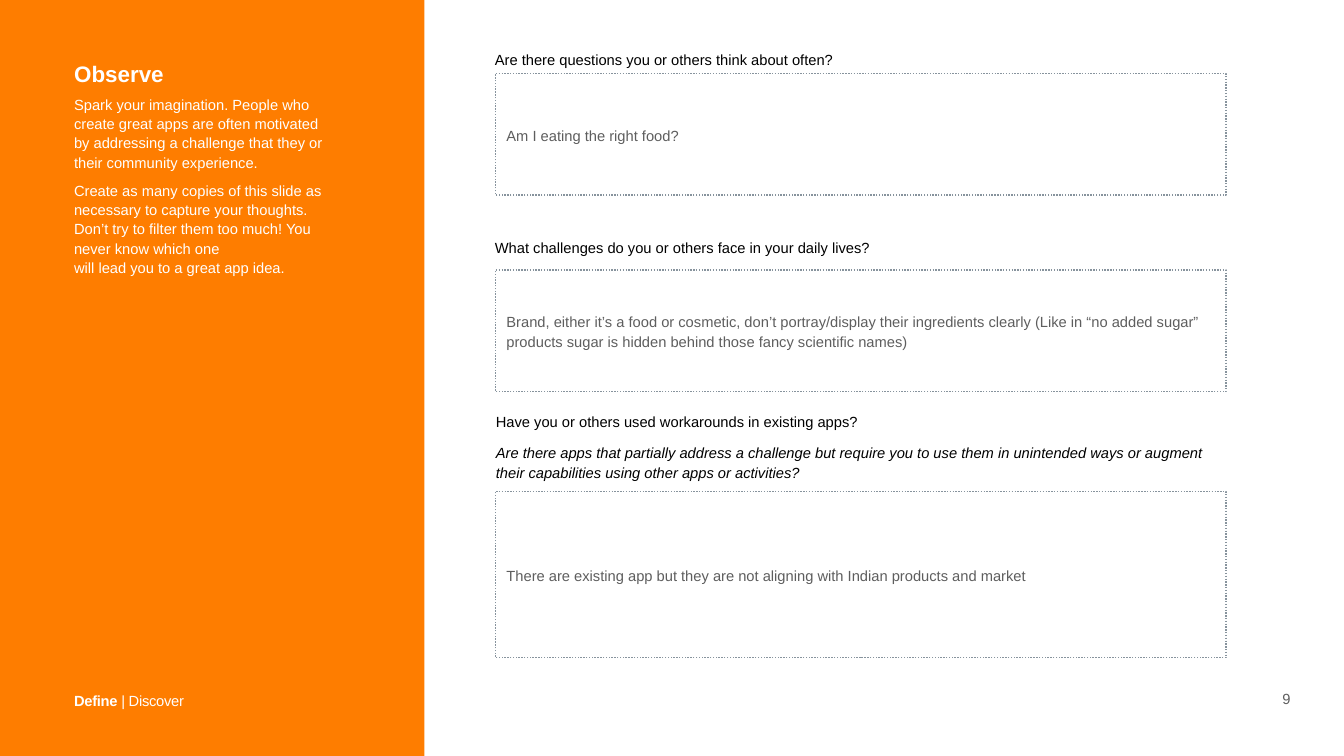
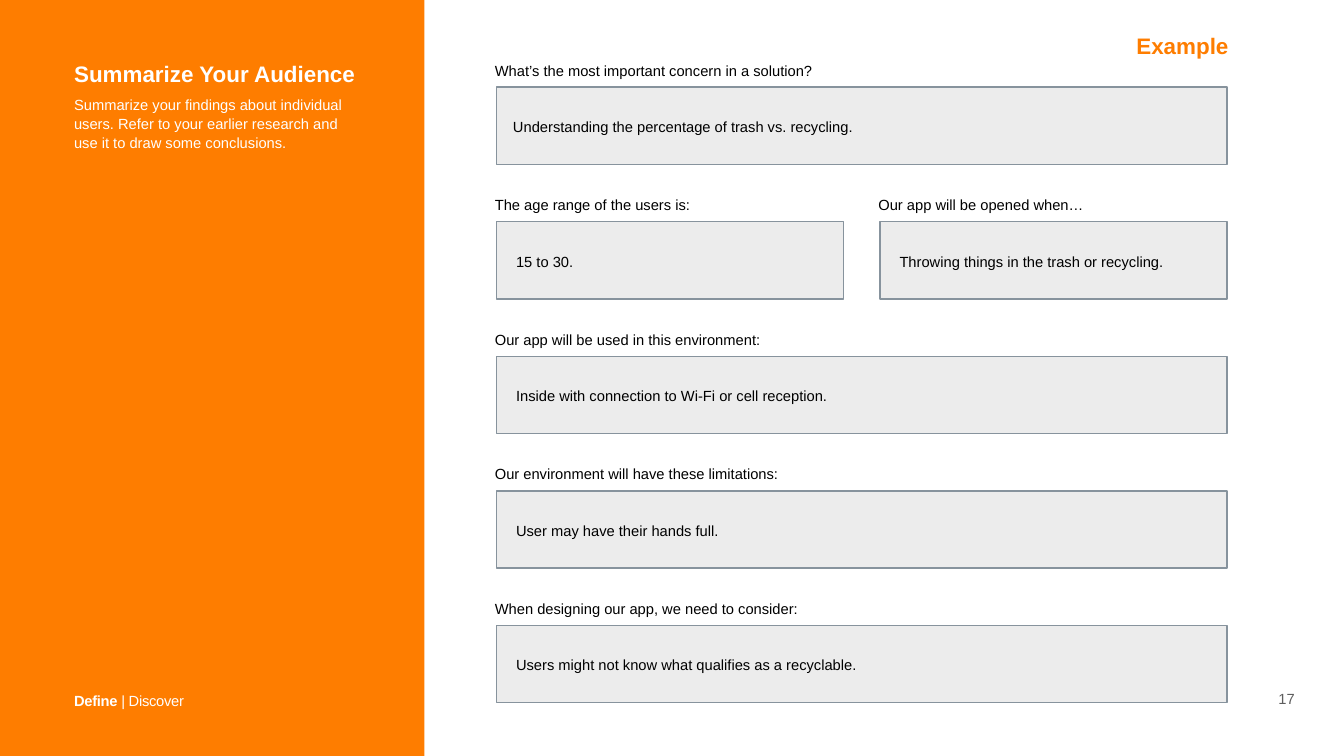
from lxml import etree
from pptx import Presentation
from pptx.dml.color import RGBColor
from pptx.enum import dml, shapes, text
from pptx.oxml import ns
from pptx.util import Inches, Pt

ORANGE = RGBColor(0xFE, 0x7D, 0x00)
WHITE = RGBColor(0xFF, 0xFF, 0xFF)
BLACK = RGBColor(0x00, 0x00, 0x00)
GRAY = RGBColor(0x5E, 0x5E, 0x5E)
PALE_GRAY = RGBColor(0xD5, 0xD5, 0xD5)
BORDER = RGBColor(0x87, 0x93, 0x9D)

FONT = "Arial"
HEADING_SIZE, BODY_SIZE = 32, 21
SIDE_LEFT = 1.39
QUESTION_LEFT = 9.76
ANSWER_WIDTH, HALF_WIDTH = 14.5, 6.89
ROW_TOP, ROW_STEP = 1.15, 2.67
ANSWER_OFFSET, ANSWER_HEIGHT = 0.58, 1.53


def write_text(frame, paragraphs, size=BODY_SIZE, color=BLACK, bold=False, italics=(),
               align=text.PP_ALIGN.LEFT, anchor=text.MSO_ANCHOR.MIDDLE,
               inset=0.08, line=1.1, gap=0, wrap=True):
    """Fill a text frame with evenly formatted paragraphs."""
    frame.word_wrap = wrap
    frame.auto_size = text.MSO_AUTO_SIZE.NONE
    frame.vertical_anchor = anchor
    frame.margin_left = frame.margin_right = Inches(inset)
    frame.margin_top = frame.margin_bottom = Inches(inset)
    for index, words in enumerate(paragraphs):
        paragraph = frame.add_paragraph() if index else frame.paragraphs[0]
        paragraph.text = words
        paragraph.alignment = align
        paragraph.line_spacing = line
        paragraph.space_before = Pt(gap if index else 0)
        for run in paragraph.runs:
            run.font.name = FONT
            run.font.size = Pt(size)
            run.font.color.rgb = color
            run.font.bold = bold
            run.font.italic = index in italics


def add_text(slide, left, top, width, height, paragraphs, **text_format):
    """Add a text box and return its frame."""
    box = slide.shapes.add_textbox(Inches(left), Inches(top), Inches(width), Inches(height))
    write_text(box.text_frame, paragraphs, **text_format)
    return box.text_frame


def add_panel(slide, left, top, width, height, fill):
    """Add a plain rectangle without line or shadow."""
    panel = slide.shapes.add_shape(shapes.MSO_SHAPE.RECTANGLE, Inches(left), Inches(top),
                                   Inches(width), Inches(height))
    panel.shadow.inherit = False
    panel.fill.solid()
    panel.fill.fore_color.rgb = fill
    panel.line.fill.background()
    return panel


def add_answer(slide, left, top, width, height, words, fill, color, inset):
    """Add a bordered answer field."""
    answer = add_panel(slide, left, top, width, height, fill)
    answer.line.color.rgb = BORDER
    answer.line.width = Pt(2)
    write_text(answer.text_frame, [words], color=color, inset=inset)
    return answer


def add_blank_answer(slide, top, height, words):
    """Add a dotted white field for the reader's answer."""
    answer = add_answer(slide, 9.83, top, ANSWER_WIDTH, height, words, WHITE, GRAY, 0.22)
    answer.line.dash_style = dml.MSO_LINE.ROUND_DOT


def add_example_pair(slide, row, question, words, left=QUESTION_LEFT, width=ANSWER_WIDTH,
                     inset=0.39):
    """Add a question with its translucent example answer on a grid row."""
    top = ROW_TOP + row * ROW_STEP
    add_text(slide, left, top, width, 0.45, [question], inset=0.06)
    answer = add_answer(slide, left + 0.09, top + ANSWER_OFFSET, width, ANSWER_HEIGHT,
                        words, PALE_GRAY, BLACK, inset)
    fill_color = answer.element.spPr.find(".//" + ns.qn("a:srgbClr"))
    etree.SubElement(fill_color, ns.qn("a:alpha"), val="44000")


def add_band(slide):
    """Put the orange side band on the shared layout."""
    band = add_panel(slide, -0.01, -0.01, 8.43, 15.02, ORANGE)
    slide.slide_layout.shapes.element.insert(2, band.element)


def add_side(slide, heading, paragraphs, width, number):
    """Write the side heading, its guidance, the footer and the page number."""
    title = slide.shapes.title
    title.left, title.top = Inches(SIDE_LEFT), Inches(1.11)
    title.width, title.height = Inches(5.9), Inches(0.68)
    write_text(title.text_frame, [heading], size=HEADING_SIZE, color=WHITE, bold=True,
               anchor=text.MSO_ANCHOR.TOP, line=1)
    add_text(slide, SIDE_LEFT, 1.78, width, 0.6 + 1.55 * len(paragraphs), paragraphs,
             color=WHITE, anchor=text.MSO_ANCHOR.TOP, gap=12)

    footer = add_text(slide, SIDE_LEFT, 13.58, 2.33, 0.51, ["Define"], color=WHITE, bold=True,
                      anchor=text.MSO_ANCHOR.TOP, line=1.2, wrap=False)
    section = footer.paragraphs[0].runs[0]
    topic = footer.paragraphs[0].add_run()
    topic.text = " | Discover"
    topic.font.name, topic.font.size = FONT, Pt(BODY_SIZE)
    topic.font.color.rgb = WHITE
    topic.font.bold = False
    for run in (section, topic):
        run._r.get_or_add_rPr().set("spc", "-40")

    add_text(slide, 25.28, 13.61, 0.5, 0.5, [number], color=GRAY, line=1, wrap=False,
             align=text.PP_ALIGN.CENTER, anchor=text.MSO_ANCHOR.BOTTOM)


def build_observe(slide):
    """Build the worksheet for observing challenges."""
    add_side(slide, "Observe", [
        "Spark your imagination. People who create great apps are often motivated by "
        "addressing a challenge that they or their community experience.",
        "Create as many copies of this slide as necessary to capture your thoughts. Don’t try "
        "to filter them too much! You never know which one \vwill lead you to a great app idea.",
    ], 5.1, "9")
    for top, question in (
        (0.95, "Are there questions you or others think about often?"),
        (4.68, "What challenges do you or others face in your daily lives?"),
    ):
        add_text(slide, QUESTION_LEFT, top, 14.52, 0.45, [question], inset=0.06)
    add_text(slide, QUESTION_LEFT, 8.11, 14.52, 1.49, [
        "Have you or others used workarounds in existing apps?",
        "Are there apps that partially address a challenge but require you to use them in "
        "unintended ways or augment their capabilities using other apps or activities?",
    ], italics=(1,), gap=17)
    add_blank_answer(slide, 1.46, 2.41, "Am I eating the right food?")
    add_blank_answer(slide, 5.36, 2.41,
                     "Brand, either it’s a food or cosmetic, don’t portray/display their "
                     "ingredients clearly (Like in “no added sugar” products sugar is hidden "
                     "behind those fancy scientific names)")
    add_blank_answer(slide, 9.75, 3.3, "There are existing app but they are not aligning with "
                                       "Indian products and market")


def build_audience(slide):
    """Build the example summary of the audience."""
    add_side(slide, "Summarize Your Audience", [
        "Summarize your findings about individual users. Refer to your earlier research and "
        "use it to draw some conclusions.",
    ], 5.9, "17")
    add_example_pair(slide, 0, "What’s the most important concern in a solution?",
                     "Understanding the percentage of trash vs. recycling.", inset=0.33)
    add_example_pair(slide, 1, "The age range of the users is:", "15 to 30.", width=HALF_WIDTH)
    add_example_pair(slide, 1, "Our app will be opened when…",
                     "Throwing things in the trash or recycling.",
                     left=QUESTION_LEFT + ANSWER_WIDTH - HALF_WIDTH, width=HALF_WIDTH)
    for row, (question, words) in enumerate((
        ("Our app will be used in this environment:",
         "Inside with connection to Wi-Fi or cell reception."),
        ("Our environment will have these limitations:", "User may have their hands full."),
        ("When designing our app, we need to consider:",
         "Users might not know what qualifies as a recyclable."),
    ), start=2):
        add_example_pair(slide, row, question, words)
    add_text(slide, 22.47, 0.56, 2, 0.69, ["Example"], size=HEADING_SIZE, color=ORANGE,
             bold=True, line=1, wrap=False)


def main():
    """Build and save the presentation."""
    deck = Presentation()
    deck.slide_width, deck.slide_height = Inches(26.67), Inches(15)
    title_only = deck.slide_layouts[5]
    observe = deck.slides.add_slide(title_only)
    add_band(observe)
    build_observe(observe)
    build_audience(deck.slides.add_slide(title_only))
    deck.save("out.pptx")


if __name__ == "__main__":
    main()
